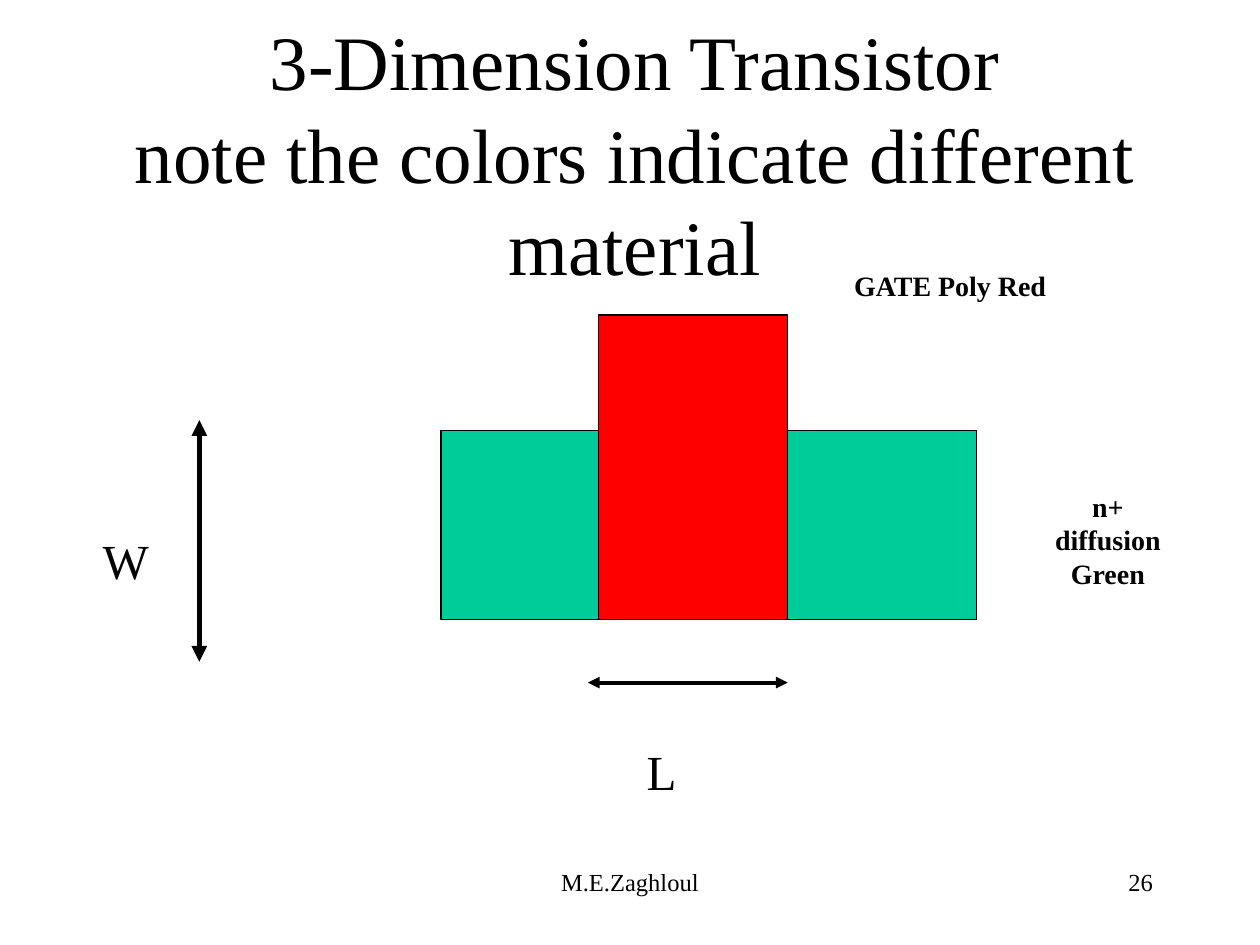
from lxml import etree
from pptx import Presentation
from pptx.dml.color import RGBColor
from pptx.enum.shapes import MSO_CONNECTOR, MSO_SHAPE
from pptx.enum.text import MSO_ANCHOR, PP_ALIGN
from pptx.oxml.ns import qn
from pptx.util import Cm, Pt

RECT = MSO_SHAPE.RECTANGLE
LINE = MSO_CONNECTOR.STRAIGHT
MID, TOP = MSO_ANCHOR.MIDDLE, MSO_ANCHOR.TOP
MIDST, RIGHT = PP_ALIGN.CENTER, PP_ALIGN.RIGHT
FONT = "Times New Roman"
HUES = {"ink": "000000", "gate": "FF0000", "green": "00CC99"}


def hue(name):
    return RGBColor.from_string(HUES[name])


def add_text(slide, box, lines, size, bold=False, align=MIDST, anchor=TOP, gap=0):
    frame = slide.shapes.add_textbox(*map(Cm, box)).text_frame
    frame.word_wrap = True
    frame.vertical_anchor = anchor
    frame.text = lines
    for para in frame.paragraphs:
        para.alignment = align
        para.space_before = Pt(gap)
        for run in para.runs:
            run.font.name = FONT
            run.font.size = Pt(size)
            run.font.bold = bold
            run.font.color.rgb = hue("ink")


def add_block(slide, box, fill):
    block = slide.shapes.add_shape(RECT, *map(Cm, box))
    block.shadow.inherit = False
    block.fill.solid()
    block.fill.fore_color.rgb = hue(fill)
    block.line.color.rgb = hue("ink")
    block.line.width = Pt(0.75)


def add_arrow(slide, ends, width):
    arrow = slide.shapes.add_connector(LINE, *map(Cm, ends))
    arrow.line.color.rgb = hue("ink")
    arrow.line.width = Pt(width)
    stroke = arrow.line._get_or_add_ln()
    for tag in ("a:headEnd", "a:tailEnd"):
        etree.SubElement(stroke, qn(tag), type="triangle")
    etree.SubElement(arrow._element.spPr, qn("a:effectLst"))


def main():
    deck = Presentation()
    deck.slide_width, deck.slide_height = Cm(25.4), Cm(19.05)
    slide = deck.slides.add_slide(deck.slide_layouts[6])

    add_text(slide, (8.68, 17.36, 8.04, 1.27), "M.E.Zaghloul", 14)
    add_text(slide, (18.2, 17.36, 5.29, 1.27), "26", 14, align=RIGHT)
    add_text(slide, (1.9, 0.85, 21.8, 4.45),
             "3-Dimension Transistor\vnote the colors indicate different material",
             44, anchor=MID)

    add_block(slide, (8.89, 8.68, 10.8, 3.81), "green")
    add_block(slide, (12.07, 6.35, 3.81, 6.14), "gate")

    add_arrow(slide, (11.85, 13.76, 15.88, 13.76), 2.25)
    add_text(slide, (12.49, 14.82, 1.69, 1.44), "L", 28, gap=17.5)
    add_arrow(slide, (4.02, 8.47, 4.02, 13.34), 3)
    add_text(slide, (1.69, 10.58, 1.69, 1.44), "W", 28, gap=17.5)

    add_text(slide, (16.93, 5.29, 4.45, 0.93), "GATE Poly Red", 16, bold=True)
    add_text(slide, (20.96, 9.74, 2.75, 2.28), "n+\ndiffusion\nGreen", 16, bold=True)

    deck.save("out.pptx")


if __name__ == "__main__":
    main()
